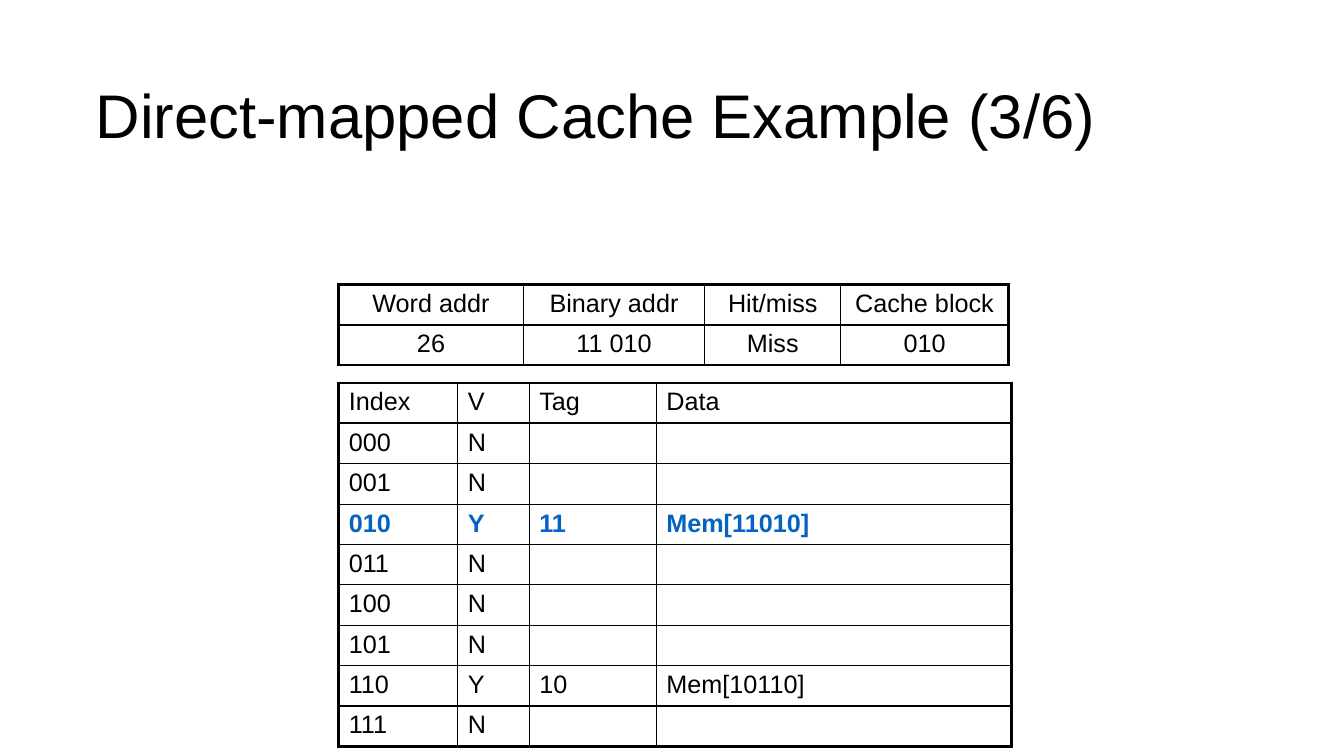
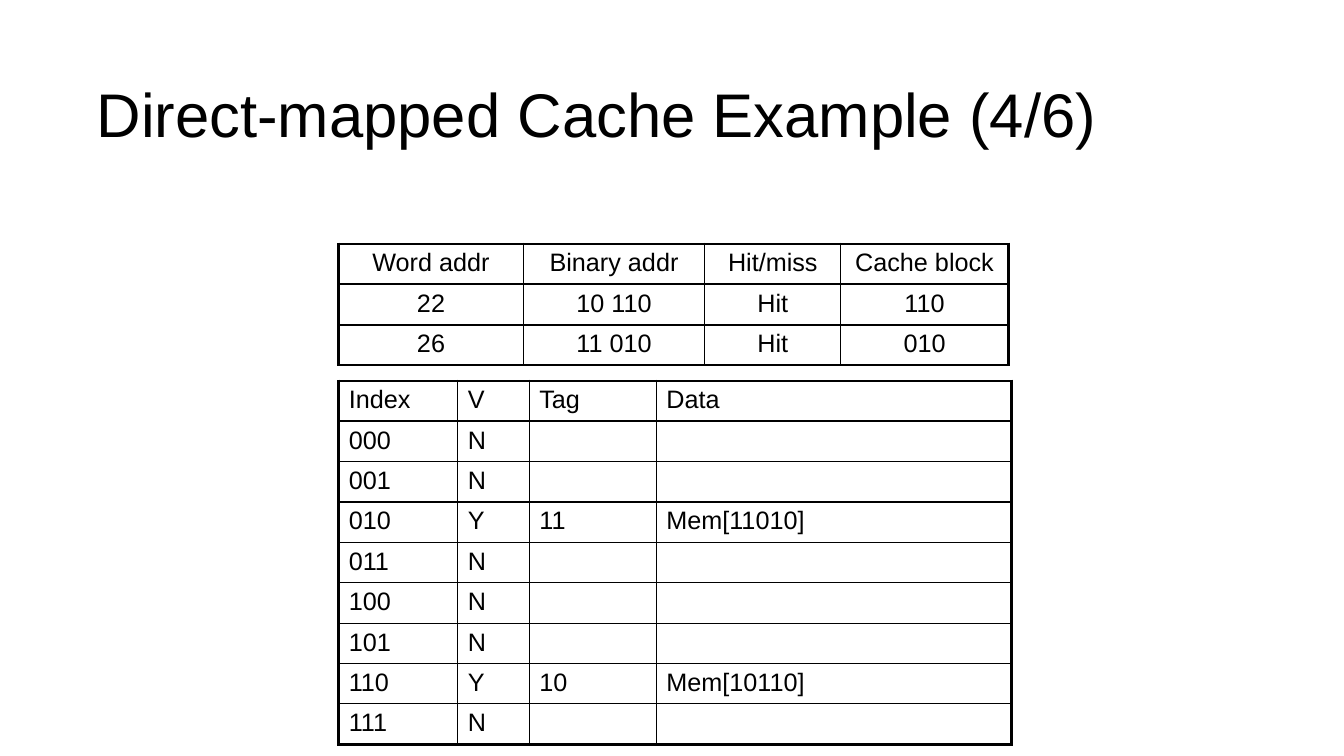
import pptx
import pptx.dml.color
import pptx.enum.text
import pptx.oxml
import pptx.oxml.ns
import pptx.util

PX = 9144  # EMU per px, 100 px to the inch
ALIGN = pptx.enum.text.PP_ALIGN
ANCHOR = pptx.enum.text.MSO_ANCHOR

BLACK, BLUE = "000000", "0563C1"
THIN, MEDIUM, THICK = 1, 1.5, 2.25  # border widths in points
ROW_H = 40


def px(n):
    return pptx.util.Emu(n * PX)


def rgb(value):
    return pptx.dml.color.RGBColor.from_string(value)


def apply(obj, values):
    for name, value in values.items():
        setattr(obj, name, value)


class Deck:
    FONT = "Arial"
    TITLE = {"size": pptx.util.Pt(44)}
    CELL = {"size": pptx.util.Pt(18)}

    def __init__(self):
        self.prs = pptx.Presentation()
        apply(self.prs, {"slide_width": px(1333), "slide_height": px(750)})
        self.s = None

    def slide(self):
        self.s = self.prs.slides.add_slide(self.prs.slide_layouts[6])

    def run(self, p, text, style, color=BLACK):
        r = p.add_run()
        r.text = text
        apply(r.font, {"name": self.FONT, **style})
        r.font.color.rgb = rgb(color)

    def title(self, text, x, y, w, h):
        sp = self.s.shapes.add_textbox(px(x), px(y), px(w), px(h))
        tf = sp.text_frame
        apply(tf, {"word_wrap": True, "vertical_anchor": ANCHOR.MIDDLE})
        p = tf.paragraphs[0]
        p.line_spacing = 0.9
        self.run(p, text, self.TITLE)

    def borders(self, cell, widths):
        """Draw the sides of a cell; widths maps L, R, T, B to points."""
        tc_pr = cell._tc.get_or_add_tcPr()
        for side, pt in widths.items():
            tc_pr.append(pptx.oxml.parse_xml(
                f'<a:ln{side} {pptx.oxml.ns.nsdecls("a")} w="{pptx.util.Pt(pt)}">'
                f'<a:solidFill><a:srgbClr val="{BLACK}"/></a:solidFill>'
                f'</a:ln{side}>'))

    def table(self, x, y, widths, rows, align, inner, marked=None):
        """Thick outline, medium line under the header, inner lines between rows."""
        n_rows, n_cols = len(rows), len(widths)
        frame = self.s.shapes.add_table(n_rows, n_cols, px(x), px(y),
                                        px(sum(widths)), px(ROW_H * n_rows))
        tbl = frame.table
        apply(tbl, {"first_row": False, "horz_banding": False})
        for col, w in zip(tbl.columns, widths):
            col.width = px(w)

        # Line widths at each grid position, edges included
        across = [THICK] + [THIN] * (n_cols - 1) + [THICK]
        down = [THICK, MEDIUM] + [inner] * (n_rows - 2) + [THICK]

        for i, row in enumerate(rows):
            tbl.rows[i].height = px(ROW_H)
            mark = i == marked
            for j, text in enumerate(row):
                cell = tbl.cell(i, j)
                self.borders(cell, {"L": across[j], "R": across[j + 1],
                                    "T": down[i], "B": down[i + 1]})
                cell.fill.background()
                p = cell.text_frame.paragraphs[0]
                p.alignment = align
                if text:
                    self.run(p, text, {**self.CELL, "bold": mark},
                             BLUE if mark else BLACK)

    def access_table(self, y, accesses):
        header = ("Word addr", "Binary addr", "Hit/miss", "Cache block")
        self.table(336, y, (183, 180, 135, 166), [header, *accesses],
                   ALIGN.CENTER, MEDIUM)

    def cache_table(self, y, tags, marked=None):
        """tags maps a block index to the tag stored there."""
        rows = [("Index", "V", "Tag", "Data")]
        for n in range(8):
            index = f"{n:03b}"
            tag = tags.get(index)
            rows.append((index, "Y", tag, f"Mem[{tag}{index}]") if tag
                        else (index, "N", "", ""))
        self.table(336, y, (118, 71, 126, 352), rows, ALIGN.LEFT, THIN,
                   int(marked, 2) + 1 if marked else None)


def main():
    deck = Deck()
    tags = {"010": "11", "110": "10"}

    # Miss fills block 010
    deck.slide()
    deck.title("Direct-mapped Cache Example (3/6)", 85, 56, 1063, 123)
    deck.cache_table(380, tags, marked="010")
    deck.access_table(282, [("26", "11 010", "Miss", "010")])

    # Both addresses hit
    deck.slide()
    deck.title("Direct-mapped Cache Example (4/6)", 86, 68, 1063, 98)
    deck.cache_table(378, tags)
    deck.access_table(242, [("22", "10 110", "Hit", "110"),
                            ("26", "11 010", "Hit", "010")])

    deck.prs.save("out.pptx")


if __name__ == "__main__":
    main()
